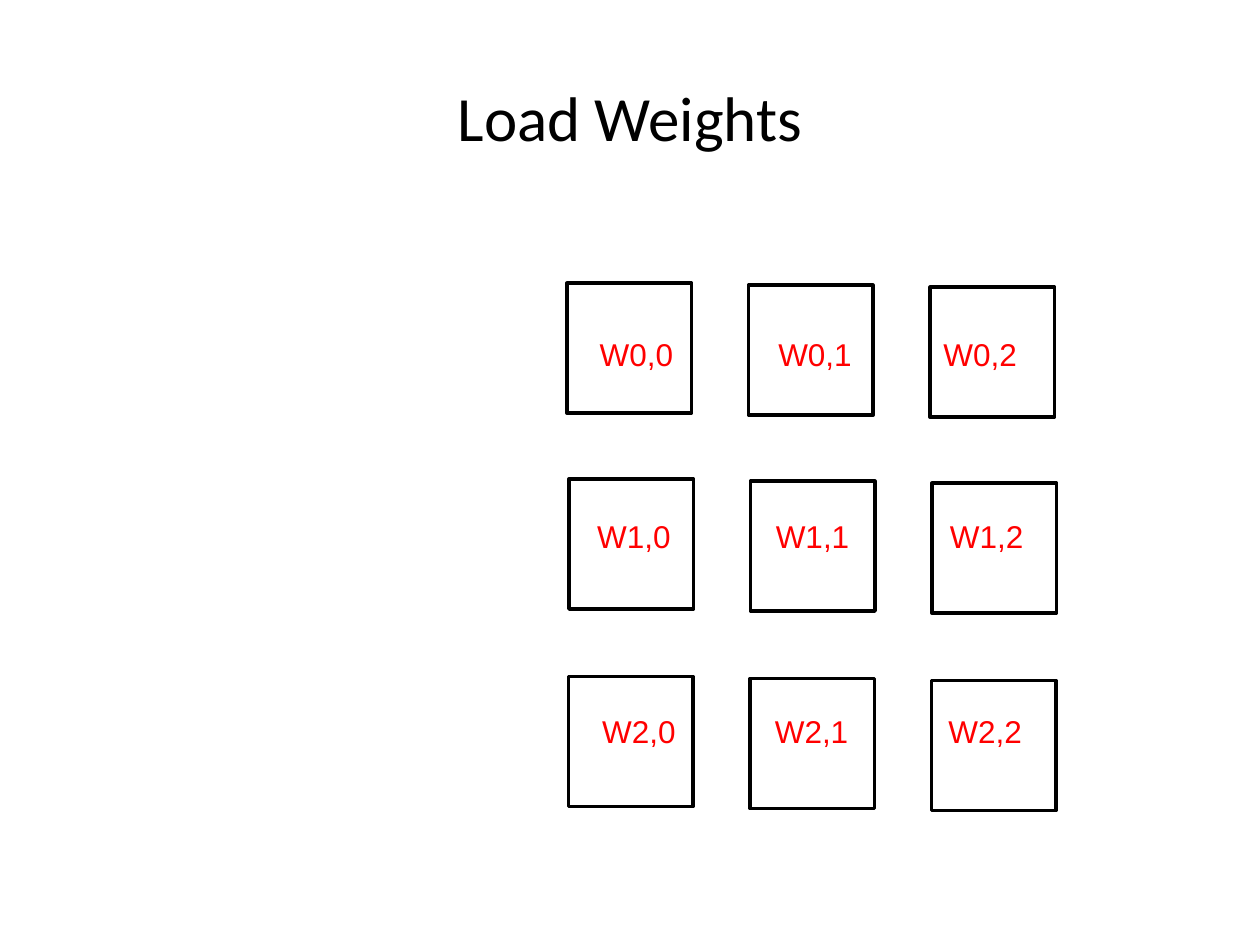
from dataclasses import dataclass

from pptx import Presentation
from pptx import util as u
from pptx.dml.color import RGBColor
from pptx.enum import shapes, text


@dataclass(frozen=True)
class Theme:
    ink: RGBColor = RGBColor(0, 0, 0)
    accent: RGBColor = RGBColor(255, 0, 0)
    title_font: str = "Calibri"
    label_font: str = "Arial"
    title_size: int = 36
    label_size: int = 18
    outline: int = 2


THEME = Theme()
TITLE_FORMAT = {"name": THEME.title_font, "size": u.Pt(THEME.title_size)}
LABEL_FORMAT = {"name": THEME.label_font, "size": u.Pt(THEME.label_size)}

CELL_W, CELL_H = 2.51, 2.62
COLUMN_PITCH, COLUMN_DROP = 3.66, 0.04
ROWS = [
    {"left": 11.43, "top": 5.71, "label_top": 6.63, "labels": (11.84, 15.44, 18.77)},
    {"left": 11.47, "top": 9.66, "label_top": 10.29, "labels": (11.79, 15.39, 18.9)},
    {"left": 11.46, "top": 13.64, "label_top": 14.22, "labels": (11.89, 15.37, 18.87)},
]


def box(*lengths):
    return [u.Cm(n) for n in lengths]


def add_text(s, words, place, formats, color, frame):
    tf = s.shapes.add_textbox(*place).text_frame
    for name, value in frame.items():
        setattr(tf, name, value)
    p = tf.paragraphs[0]
    r = p.add_run()
    r.text = words
    for name, value in formats.items():
        setattr(r.font, name, value)
    r.font.color.rgb = color
    return p


def add_title(s, words):
    frame = {"word_wrap": True, "vertical_anchor": text.MSO_ANCHOR.MIDDLE}
    place = box(1.27, 0.76, 22.86, 3.18)
    p = add_text(s, words, place, TITLE_FORMAT, THEME.ink, frame)
    p.alignment = text.PP_ALIGN.CENTER


def add_cell(s, left, top):
    place = box(left, top, CELL_W, CELL_H)
    sp = s.shapes.add_shape(shapes.MSO_SHAPE.RECTANGLE, *place)
    sp.shadow.inherit = False
    sp.fill.background()
    sp.line.color.rgb = THEME.ink
    sp.line.width = u.Pt(THEME.outline)


def add_label(s, words, left, top):
    frame = {"word_wrap": False, "auto_size": text.MSO_AUTO_SIZE.SHAPE_TO_FIT_TEXT}
    place = box(left, top, 2.01, 1.02)
    add_text(s, words, place, LABEL_FORMAT, THEME.accent, frame)


def add_weights(s):
    for i, row in enumerate(ROWS):
        for j, label_left in enumerate(row["labels"]):
            add_cell(s, row["left"] + j * COLUMN_PITCH, row["top"] + j * COLUMN_DROP)
            add_label(s, f"W{i},{j}", label_left, row["label_top"])


def main():
    prs = Presentation()
    prs.slide_width, prs.slide_height = box(25.4, 19.05)
    s = prs.slides.add_slide(prs.slide_layouts[6])
    add_title(s, "Load Weights")
    add_weights(s)
    prs.save("out.pptx")


if __name__ == "__main__":
    main()
